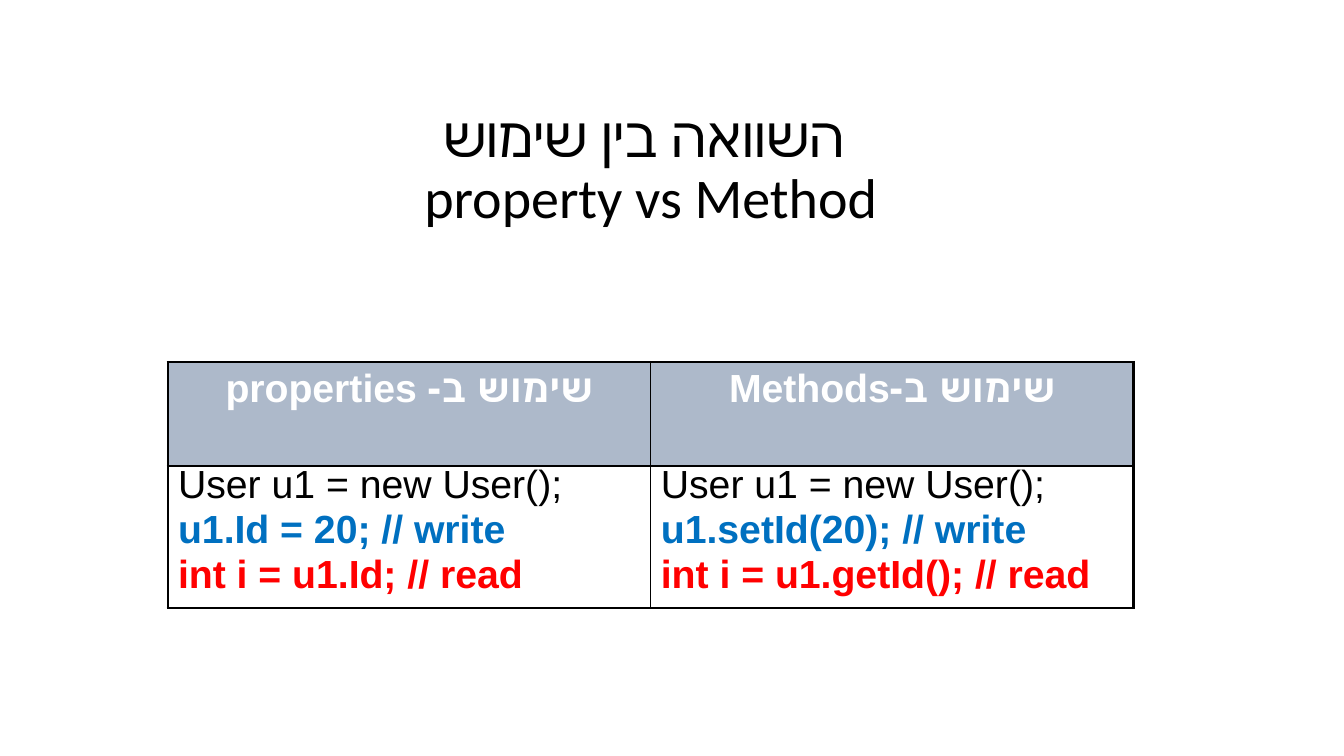
from lxml import etree
from pptx import Presentation
from pptx import util as u
from pptx.dml.color import RGBColor
from pptx.enum import text
from pptx.oxml import ns

WIDTH, HEIGHT = u.Inches(13.33), u.Inches(7.5)
LEFT, SPAN = 0.125, 0.7185
THICK, THIN = 2.25, 1
COMPARISON = [
    ("שימוש ב- properties", ["User u1 = new User();", "u1.Id = 20; // write", "int i = u1.Id; // read"]),
    ("שימוש ב-Methods", ["User u1 = new User();", "u1.setId(20); // write", "int i = u1.getId(); // read"]),
]
HEADING = {"color": "FFFFFF", "bold": True}
CODE_STYLES = [
    {"color": "000000", "bold": False},
    {"color": "0070C0", "bold": True},
    {"color": "FF0000", "bold": True},
]


def paint(target, color):
    """Give a font or a fill a solid hex colour."""
    fill = getattr(target, "fill", target)
    fill.solid()
    fill.fore_color.rgb = RGBColor.from_string(color)


def apply(target, values):
    """Set every attribute named in a dict of format values."""
    for name, value in values.items():
        setattr(target, name, value)


def place(part, top, height):
    """Set a part in the content column, at shares of the slide height."""
    apply(part, {"left": int(WIDTH * LEFT), "top": int(HEIGHT * top),
                 "width": int(WIDTH * SPAN), "height": int(HEIGHT * height)})


def write(paragraph, wording, color, size, face, bold=False, **layout):
    """Fill a paragraph with one formatted run of text."""
    paragraph.text = wording
    apply(paragraph, layout)
    for run in paragraph.runs:
        apply(run.font, {"size": u.Pt(size), "name": face, "bold": bold})
        paint(run.font, color)


def add_title(slide, wording):
    """Place the centred slide title."""
    title = slide.shapes.title
    place(title, 0.033, 0.383)
    apply(title.text_frame, {"vertical_anchor": text.MSO_ANCHOR.MIDDLE, "word_wrap": True})
    heading = title.text_frame.paragraphs[0]
    write(heading, wording, "000000", 40, "Calibri",
          alignment=text.PP_ALIGN.CENTER, line_spacing=0.9)
    for run in heading._p.findall(ns.qn("a:br")):
        etree.SubElement(run, ns.qn("a:rPr"), sz="4000")


def border(cell, widths):
    """Draw black cell edges, given as left, right, top and bottom points."""
    properties = cell._tc.get_or_add_tcPr()
    for index, (side, width) in enumerate(zip("LRTB", widths)):
        edge = etree.Element(ns.qn(f"a:ln{side}"), w=str(u.Pt(width)))
        solid = etree.SubElement(edge, ns.qn("a:solidFill"))
        etree.SubElement(solid, ns.qn("a:srgbClr"), val="000000")
        properties.insert(index, edge)


def fill_heading(cell, wording):
    """Write a right-to-left column heading on a grey-blue ground."""
    paint(cell, "ADB9CA")
    paragraph = cell.text_frame.paragraphs[0]
    write(paragraph, wording, size=28, face="Arial", **HEADING,
          alignment=text.PP_ALIGN.CENTER, space_before=u.Pt(7))
    paragraph._p.get_or_add_pPr().set("rtl", "1")


def fill_code(cell, lines):
    """Write code lines, each in its own style."""
    cell.fill.background()
    frame = cell.text_frame
    for index, (line, style) in enumerate(zip(lines, CODE_STYLES)):
        paragraph = frame.add_paragraph() if index else frame.paragraphs[0]
        write(paragraph, line, size=28, face="Arial", **style,
              alignment=text.PP_ALIGN.LEFT, line_spacing=0.8, space_before=u.Pt(7))


def add_comparison(slide):
    """Add the table that sets properties beside methods."""
    frame = slide.shapes.add_table(2, len(COMPARISON), 0, 0, WIDTH, HEIGHT)
    place(frame, 0.479, 0.326)
    table = frame.table
    apply(table, {"first_row": False, "horz_banding": False})
    for row, height in zip(table.rows, (1.03, 1.41)):
        row.height = u.Inches(height)
    for index, (heading, lines) in enumerate(COMPARISON):
        table.columns[index].width = int(WIDTH * SPAN / len(COMPARISON))
        sides = (THIN, THICK) if index else (THICK, THIN)
        fill_heading(table.cell(0, index), heading)
        fill_code(table.cell(1, index), lines)
        border(table.cell(0, index), (*sides, THICK, THIN))
        border(table.cell(1, index), (*sides, THIN, THICK))


def main():
    """Build and save the slide."""
    deck = Presentation()
    apply(deck, {"slide_width": WIDTH, "slide_height": HEIGHT})
    slide = deck.slides.add_slide(deck.slide_layouts[5])
    add_title(slide, "השוואה בין שימוש \vproperty vs Method")
    add_comparison(slide)
    deck.save("out.pptx")


if __name__ == "__main__":
    main()
